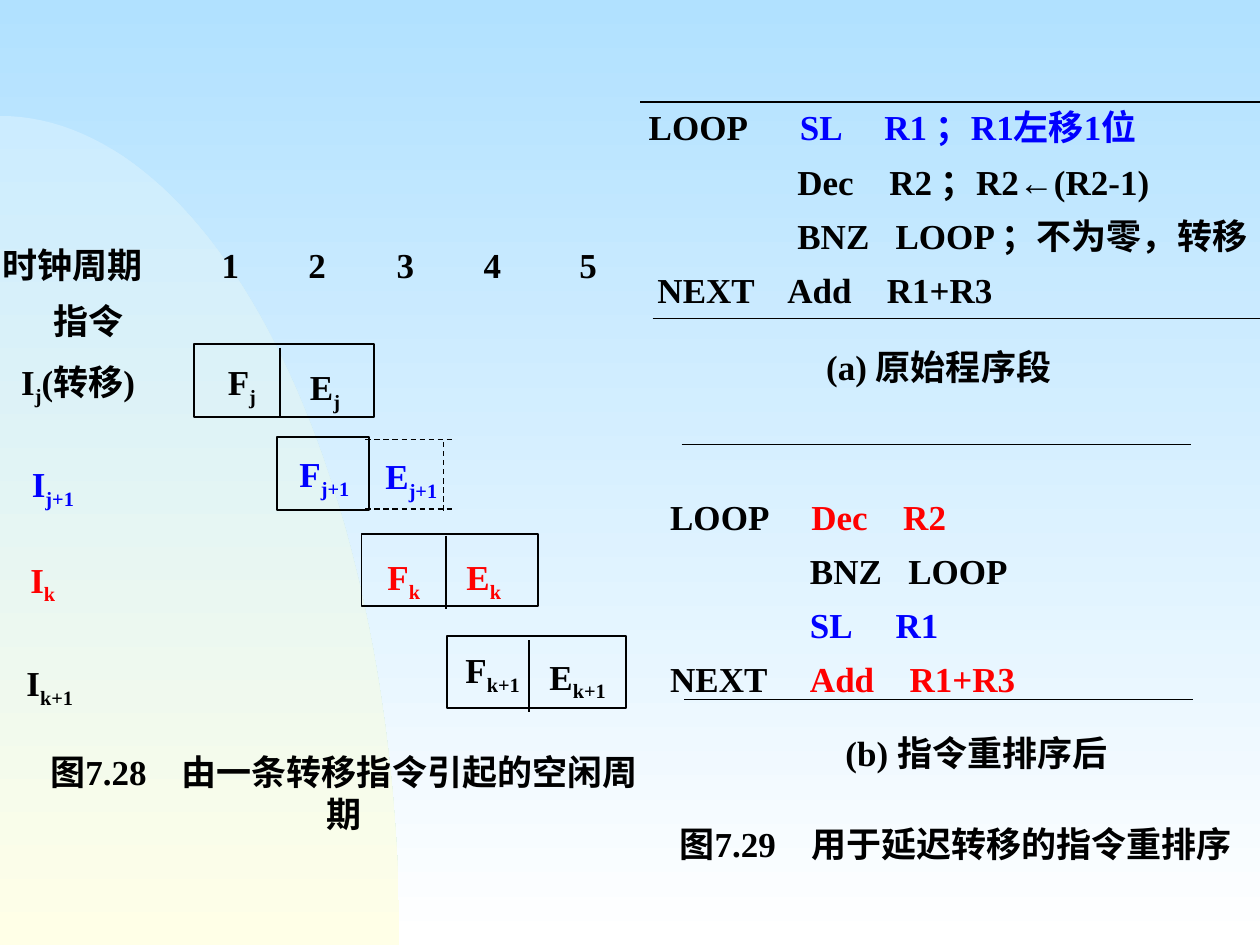
import math
from pptx import Presentation
from pptx.dml.color import RGBColor
from pptx.enum.dml import MSO_LINE
from pptx.enum.shapes import MSO_CONNECTOR, MSO_SHAPE
from pptx.enum.text import MSO_AUTO_SIZE, PP_ALIGN
from pptx.oxml.ns import qn
from pptx.util import Inches, Pt
from lxml import etree

BLACK = RGBColor(0, 0, 0)
BLUE = RGBColor(0, 0, 255)
RED = RGBColor(255, 0, 0)
SKY = RGBColor(0xB1, 0xE1, 0xFF)
WHITE = RGBColor(255, 255, 255)
PALE_BLUE = RGBColor(0xCC, 0xEC, 0xFF)
CREAM = RGBColor(255, 255, 0xE7)
LEFT, CENTER = PP_ALIGN.LEFT, PP_ALIGN.CENTER
DASH = MSO_LINE.DASH
RECTANGLE = MSO_SHAPE.RECTANGLE
STRAIGHT = MSO_CONNECTOR.STRAIGHT
GROW = MSO_AUTO_SIZE.SHAPE_TO_FIT_TEXT


def add_run(p, text, color=BLACK, sub=False, size=20, font="Times New Roman"):
    r = p.add_run()
    r.text = text
    r.font.name = font
    r.font.size = Pt(size)
    r.font.bold = True
    r.font.color.rgb = color
    if sub:
        r.font._element.set("baseline", "-25000")


def set_tabs(p, stops):
    tabs = etree.SubElement(p._p.get_or_add_pPr(), qn("a:tabLst"))
    for stop in stops:
        etree.SubElement(tabs, qn("a:tab"), pos=str(Inches(stop)), algn="l")


def set_gradient(fill, top, bottom):
    fill.gradient()
    fill.gradient_angle = 270
    for stop, color, position in zip(fill.gradient_stops, (top, bottom), (0, 1)):
        stop.color.rgb = color
        stop.position = position


class SlideBuilder:
    def __init__(self, slide):
        self.s = slide

    def arc(self, rx, ry, bottom, steps=60):
        points = []
        for i in range(steps + 1):
            a = math.pi / 2 * i / steps
            points.append((Inches(rx * math.sin(a)),
                           Inches(bottom - ry * math.cos(a))))
        builder = self.s.shapes.build_freeform(0, Inches(bottom))
        builder.add_line_segments(points, close=True)
        sp = builder.convert_to_shape()
        sp.shadow.inherit = False
        sp.line.fill.background()
        set_gradient(sp.fill, PALE_BLUE, CREAM)

    def box(self, x, y, w, h):
        sp = self.s.shapes.add_shape(RECTANGLE, Inches(x), Inches(y), Inches(w), Inches(h))
        sp.shadow.inherit = False
        sp.fill.background()
        sp.line.color.rgb = BLACK
        sp.line.width = Pt(1)

    def line(self, x1, y1, x2, y2, width=0.75, dash=None):
        c = self.s.shapes.add_connector(STRAIGHT, Inches(x1), Inches(y1),
                                        Inches(x2), Inches(y2))
        c.line.color.rgb = BLACK
        c.line.width = Pt(width)
        if dash:
            c.line.dash_style = dash
        etree.SubElement(c._element.spPr, qn("a:effectLst"))

    def frame(self, x, y, w, h, wrap=True):
        tf = self.s.shapes.add_textbox(Inches(x), Inches(y), Inches(w), Inches(h)).text_frame
        tf.word_wrap = wrap
        return tf

    def text(self, x, y, w, h, text, align=CENTER):
        p = self.frame(x, y, w, h).paragraphs[0]
        p.alignment = align
        add_run(p, text)

    def label(self, x, y, w, h, base, sub, color=BLACK, tail="", wrap=True):
        tf = self.frame(x, y, w, h, wrap)
        if not wrap:
            tf.auto_size = GROW
        p = tf.paragraphs[0]
        p.alignment = CENTER if wrap else LEFT
        add_run(p, base, color)
        add_run(p, sub, color, sub=True)
        if tail:
            add_run(p, tail, color)

    def tabbed(self, x, y, w, h, lines):
        tf = self.frame(x, y, w, h)
        for i, (stops, runs) in enumerate(lines):
            p = tf.add_paragraph() if i else tf.paragraphs[0]
            if i:
                p.space_before = Pt(7)
            set_tabs(p, stops)
            for text, color in runs:
                add_run(p, text, color)


def draw_programs(b):
    b.text(5.59, 2.69, 3.72, 0.6, "(a) 原始程序段")
    b.tabbed(4.08, 0.79, 6.67, 1.93, [
        ((0.97, 2.17, 2.84), [("\tLOOP\t", BLACK), ("SL\tR1 ；R1左移1位", BLUE)]),
        ((2.15, 2.88), [("\tDec\tR2 ；R2←(R2-1)", BLACK)]),
        ((2.15, 2.93), [("\tBNZ\tLOOP ；不为零，转移", BLACK)]),
        ((1.04, 2.07, 2.86), [("\tNEXT\tAdd\tR1+R3", BLACK)]),
    ])
    b.line(5.08, 0.81, 10.1, 0.81)
    b.line(5.18, 2.53, 10.15, 2.53)

    b.text(5.89, 5.76, 3.72, 0.53, "(b) 指令重排序后")
    b.tabbed(5.22, 3.88, 4.48, 1.53, [
        ((1.12, 1.85), [("LOOP\t", BLACK), ("Dec\tR2", RED)]),
        ((1.11, 1.89), [("\tBNZ\tLOOP", BLACK)]),
        ((1.11, 1.79), [("\tSL\tR1", BLUE)]),
        ((1.11, 1.9), [("NEXT\t", BLACK), ("Add\tR1+R3", RED)]),
    ])
    b.line(5.41, 3.53, 9.45, 3.53)
    b.line(5.43, 5.55, 9.47, 5.55)
    b.text(5.04, 6.48, 5.09, 0.6, "图7.29　用于延迟转移的指令重排序")


def draw_pipeline(b):
    b.tabbed(-0.08, 1.88, 5.86, 0.78, [
        ((1.74, 2.43, 3.13, 3.82, 4.58), [("时钟周期\t1\t2\t3\t4\t5", BLACK)]),
    ])
    b.text(0.2, 2.33, 1.01, 0.41, "指令")

    for stage in ((1.54, 2.73, 1.43, 0.58), (2.2, 3.47, 0.73, 0.58),
                  (2.87, 4.24, 1.4, 0.57), (3.55, 5.05, 1.42, 0.57)):
        b.box(*stage)
    for x, top, bottom in ((2.22, 2.76, 3.31), (3.54, 4.25, 4.83), (4.2, 5.08, 5.65)):
        b.line(x, top, x, bottom, width=1)
    for idle_edge in ((2.9, 3.49, 3.61, 3.49), (2.9, 4.04, 3.59, 4.04),
                      (3.52, 3.51, 3.52, 4.08)):
        b.line(*idle_edge, dash=DASH)

    b.label(0, 2.81, 1.24, 0.4, "I", "j", tail="(转移)")
    b.label(2.96, 3.56, 0.61, 0.48, "E", "j+1", BLUE, wrap=False)
    for label in (
        (1.59, 2.81, 0.66, 0.39, "F", "j"),
        (2.25, 2.85, 0.66, 0.35, "E", "j"),
        (0.09, 3.62, 0.66, 0.44, "I", "j+1", BLUE),
        (2.2, 3.54, 0.75, 0.44, "F", "j+1", BLUE),
        (0.06, 4.38, 0.56, 0.46, "I", "k", RED),
        (2.92, 4.36, 0.57, 0.39, "F", "k", RED),
        (3.51, 4.36, 0.66, 0.42, "E", "k", RED),
        (0.07, 5.2, 0.65, 0.39, "I", "k+1"),
        (3.55, 5.1, 0.72, 0.42, "F", "k+1"),
        (4.2, 5.15, 0.77, 0.41, "E", "k+1"),
    ):
        b.label(*label)
    b.text(0.2, 5.91, 5.06, 0.42, "图7.28　由一条转移指令引起的空闲周期")


def main():
    prs = Presentation()
    prs.slide_width, prs.slide_height = Inches(10), Inches(7.5)
    s = prs.slides.add_slide(prs.slide_layouts[6])
    set_gradient(s.background.fill, SKY, WHITE)
    b = SlideBuilder(s)
    b.arc(3.17, 6.58, 7.5)
    draw_programs(b)
    draw_pipeline(b)
    prs.save("out.pptx")


if __name__ == "__main__":
    main()
